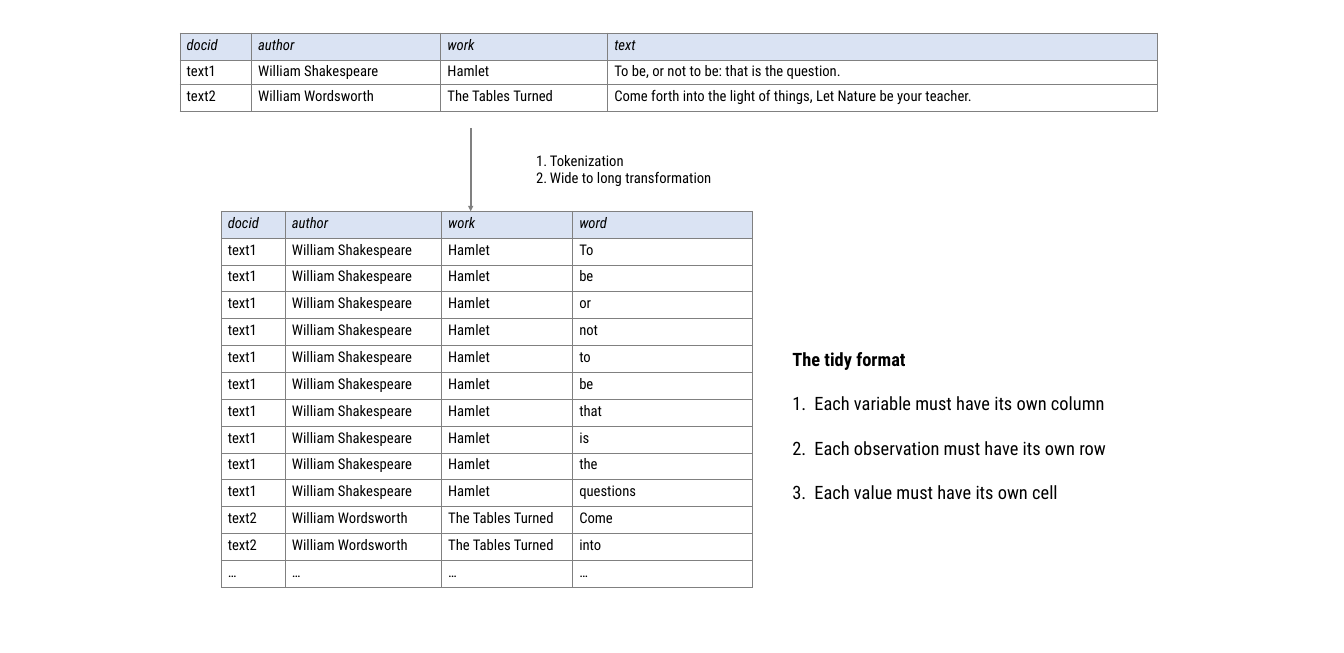
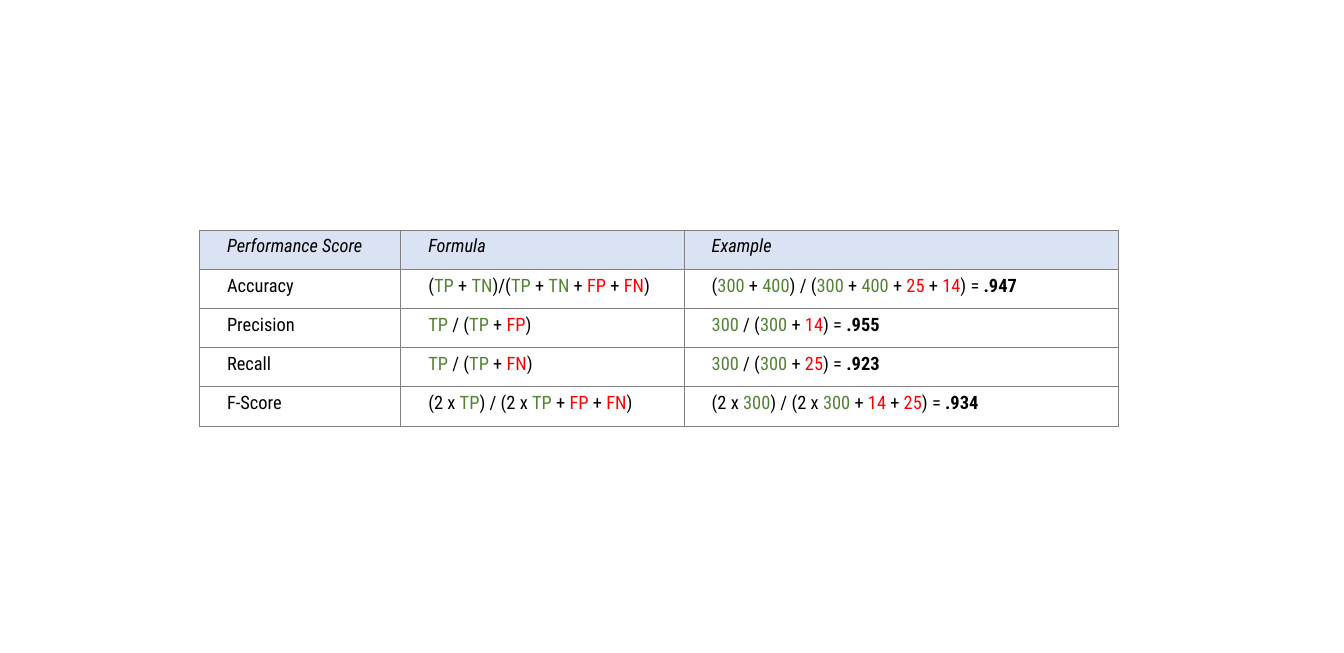
from dataclasses import dataclass
from itertools import groupby

from lxml import etree
from pptx import Presentation
from pptx.dml.color import RGBColor
from pptx.enum.shapes import MSO_CONNECTOR
from pptx.enum.text import MSO_AUTO_SIZE
from pptx.oxml.ns import qn
from pptx.util import Pt

STRAIGHT = MSO_CONNECTOR.STRAIGHT
GROW = MSO_AUTO_SIZE.SHAPE_TO_FIT_TEXT

SLIDE_WIDTH, SLIDE_HEIGHT = 1461.6, 709.9
BLANK_LAYOUT = 6
FONT = "Roboto Condensed"
COLORS = {
    "text": "000000",
    "header": "DAE3F3",
    "rule": "808080",
    "correct": "548235",
    "wrong": "FF0000",
}
TERM_COLORS = (
    dict.fromkeys(("TP", "TN", "300", "400"), "correct")
    | dict.fromkeys(("FP", "FN", "25", "14"), "wrong")
)


@dataclass(frozen=True)
class Grid:
    left: float
    top: float
    columns: tuple[float, ...]
    row_heights: tuple[float, ...]
    size: float
    margin_x: float = 7.2
    margin_y: float = 3.6


@dataclass(frozen=True)
class NumberedList:
    left: float
    top: float
    width: float
    height: float
    size: float
    items: tuple[str, ...]
    indent: float
    gap: float = 0
    heading: str = ""


def rgb(name: str) -> RGBColor:
    return RGBColor.from_string(COLORS[name])


def style_paragraph(paragraph, size: float, bold=False, italic=False) -> None:
    font = paragraph.font
    font.name, font.size = FONT, Pt(size)
    font.bold, font.italic = bold, italic
    font.color.rgb = rgb("text")


def term_color(term: str) -> str:
    return TERM_COLORS.get(term, "text")


def write_formula(paragraph, formula: str) -> None:
    """Colour the known terms and embolden what follows the equals sign."""
    expression, equals, result = formula.partition(" = ")
    terms = ["".join(chars) for _, chars in groupby(expression + equals, str.isalnum)]
    for color, group in groupby(terms, term_color):
        run = paragraph.add_run()
        run.text = "".join(group)
        if color != "text":
            run.font.color.rgb = rgb(color)
    if result:
        run = paragraph.add_run()
        run.text = result
        run.font.bold = True


def add_borders(cell) -> None:
    properties = cell._tc.get_or_add_tcPr()
    for side in ("a:lnL", "a:lnR", "a:lnT", "a:lnB"):
        border = etree.SubElement(properties, qn(side), w=str(Pt(1)))
        fill = etree.SubElement(border, qn("a:solidFill"))
        etree.SubElement(fill, qn("a:srgbClr"), val=COLORS["rule"])


def draw_table(slide, grid: Grid, rows: list[tuple[str, ...]]) -> None:
    table = slide.shapes.add_table(
        len(rows), len(grid.columns), Pt(grid.left), Pt(grid.top),
        Pt(sum(grid.columns)), Pt(sum(grid.row_heights)),
    ).table
    table.first_row = table.horz_banding = False
    for column, width in zip(table.columns, grid.columns):
        column.width = Pt(width)
    for row_number, (row, height, texts) in enumerate(zip(table.rows, grid.row_heights, rows)):
        row.height = Pt(height)
        is_header = row_number == 0
        for cell, text in zip(row.cells, texts):
            cell.margin_left = cell.margin_right = Pt(grid.margin_x)
            cell.margin_top = cell.margin_bottom = Pt(grid.margin_y)
            add_borders(cell)
            if is_header:
                cell.fill.solid()
                cell.fill.fore_color.rgb = rgb("header")
            else:
                cell.fill.background()
            paragraph = cell.text_frame.paragraphs[0]
            style_paragraph(paragraph, grid.size, italic=is_header)
            write_formula(paragraph, text)


def number_paragraph(paragraph, indent: float) -> None:
    properties = paragraph._p.get_or_add_pPr()
    properties.set("marL", str(Pt(indent)))
    properties.set("indent", str(-Pt(indent)))
    numbering = etree.Element(qn("a:buAutoNum"), type="arabicPeriod")
    properties.find(qn("a:defRPr")).addprevious(numbering)


def draw_list(slide, content: NumberedList) -> None:
    frame = slide.shapes.add_textbox(
        Pt(content.left), Pt(content.top), Pt(content.width), Pt(content.height)
    ).text_frame
    frame.word_wrap, frame.auto_size = True, GROW
    heading = (content.heading,) if content.heading else ()
    for position, text in enumerate(heading + content.items):
        is_heading = position < len(heading)
        paragraph = frame.add_paragraph() if position else frame.paragraphs[0]
        paragraph.text = text
        style_paragraph(paragraph, content.size, bold=is_heading)
        if position:
            paragraph.space_before = Pt(content.gap)
        if not is_heading:
            number_paragraph(paragraph, content.indent)


def draw_down_arrow(slide, x: float, top: float, bottom: float) -> None:
    arrow = slide.shapes.add_connector(STRAIGHT, Pt(x), Pt(top), Pt(x), Pt(bottom))
    arrow.line.color.rgb = rgb("rule")
    arrow.line.width = Pt(1.75)
    etree.SubElement(arrow.line._get_or_add_ln(), qn("a:tailEnd"), type="triangle")
    etree.SubElement(arrow._element.spPr, qn("a:effectLst"))


HAMLET = ("text1", "William Shakespeare", "Hamlet")
TABLES_TURNED = ("text2", "William Wordsworth", "The Tables Turned")
DOCUMENT_FIELDS = ("docid", "author", "work")

WIDE_ROWS = [
    (*DOCUMENT_FIELDS, "text"),
    (*HAMLET, "To be, or not to be: that is the question."),
    (*TABLES_TURNED, "Come forth into the light of things, Let Nature be your teacher."),
]
LONG_ROWS = [
    (*DOCUMENT_FIELDS, "word"),
    *((*HAMLET, word) for word in "To be or not to be that is the questions".split()),
    *((*TABLES_TURNED, word) for word in ("Come", "into")),
    ("…",) * 4,
]
SCORE_ROWS = [
    ("Performance Score", "Formula", "Example"),
    ("Accuracy", "(TP + TN)/(TP + TN + FP + FN)", "(300 + 400) / (300 + 400 + 25 + 14) = .947"),
    ("Precision", "TP / (TP + FP)", "300 / (300 + 14) = .955"),
    ("Recall", "TP / (TP + FN)", "300 / (300 + 25) = .923"),
    ("F-Score", "(2 x TP) / (2 x TP + FP + FN)", "(2 x 300) / (2 x 300 + 14 + 25) = .934"),
]

WIDE_GRID = Grid(195.8, 36, (77.8, 205.9, 181.4, 597.6), (29.2, 26.6, 29.2), 16)
LONG_GRID = Grid(240.5, 229.7, (69.8, 169.9, 142.6, 195.1), (29.2,) * len(LONG_ROWS), 16)
SCORE_GRID = Grid(
    216.7, 250.6, (218.9, 308.2, 472.3), (42.5,) * len(SCORE_ROWS), 20,
    margin_x=30.2, margin_y=5.8,
)

STEPS = NumberedList(
    576, 161.3, 353.5, 46.1, 16,
    ("Tokenization", "Wide to long transformation"), indent=15,
)
TIDY_RULES = NumberedList(
    854.6, 375.1, 550.8, 177.1, 20,
    (
        "Each variable must have its own column",
        "Each observation must have its own row",
        "Each value must have its own cell",
    ),
    indent=24, gap=24, heading="The tidy format",
)


def draw_tidy_slide(slide) -> None:
    draw_table(slide, WIDE_GRID, WIDE_ROWS)
    draw_table(slide, LONG_GRID, LONG_ROWS)
    draw_down_arrow(slide, 511.9, 139, LONG_GRID.top)
    draw_list(slide, STEPS)
    draw_list(slide, TIDY_RULES)


def draw_score_slide(slide) -> None:
    draw_table(slide, SCORE_GRID, SCORE_ROWS)


def main() -> None:
    deck = Presentation()
    deck.slide_width, deck.slide_height = Pt(SLIDE_WIDTH), Pt(SLIDE_HEIGHT)
    for draw in (draw_tidy_slide, draw_score_slide):
        draw(deck.slides.add_slide(deck.slide_layouts[BLANK_LAYOUT]))
    deck.save("out.pptx")


if __name__ == "__main__":
    main()
